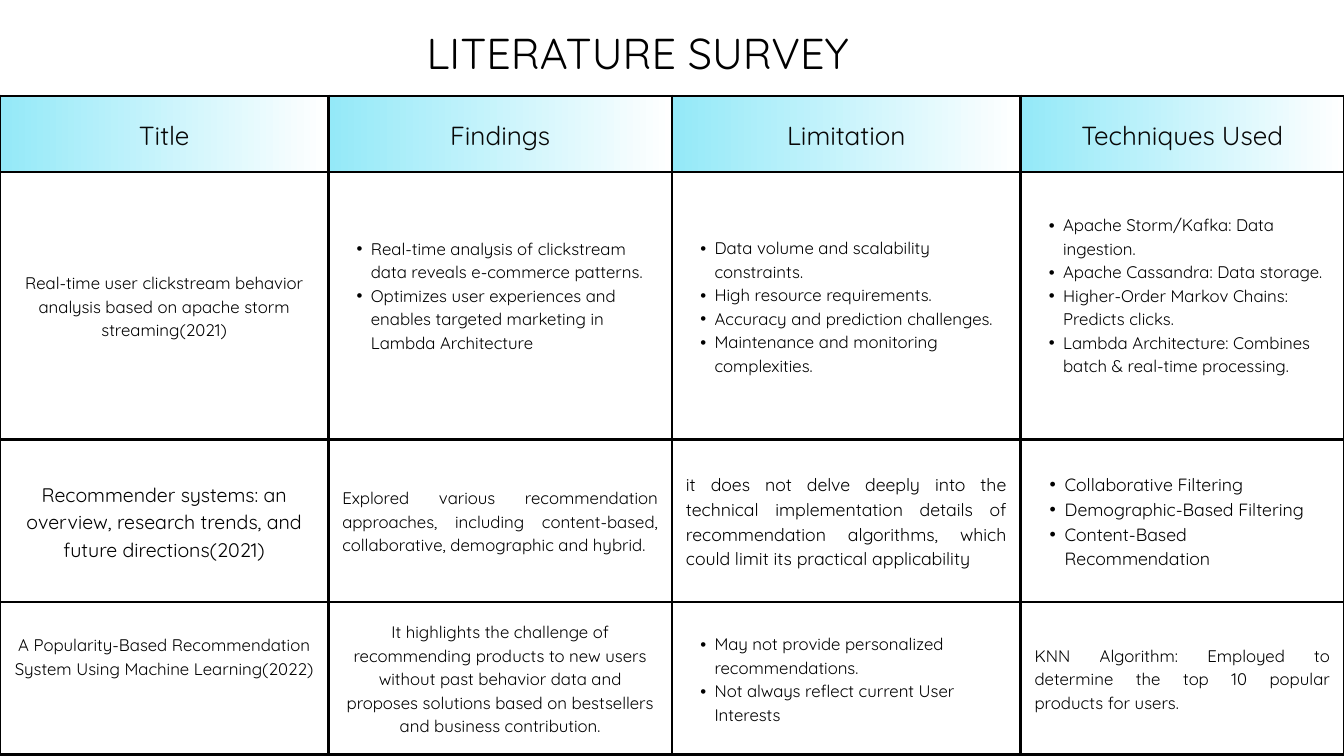
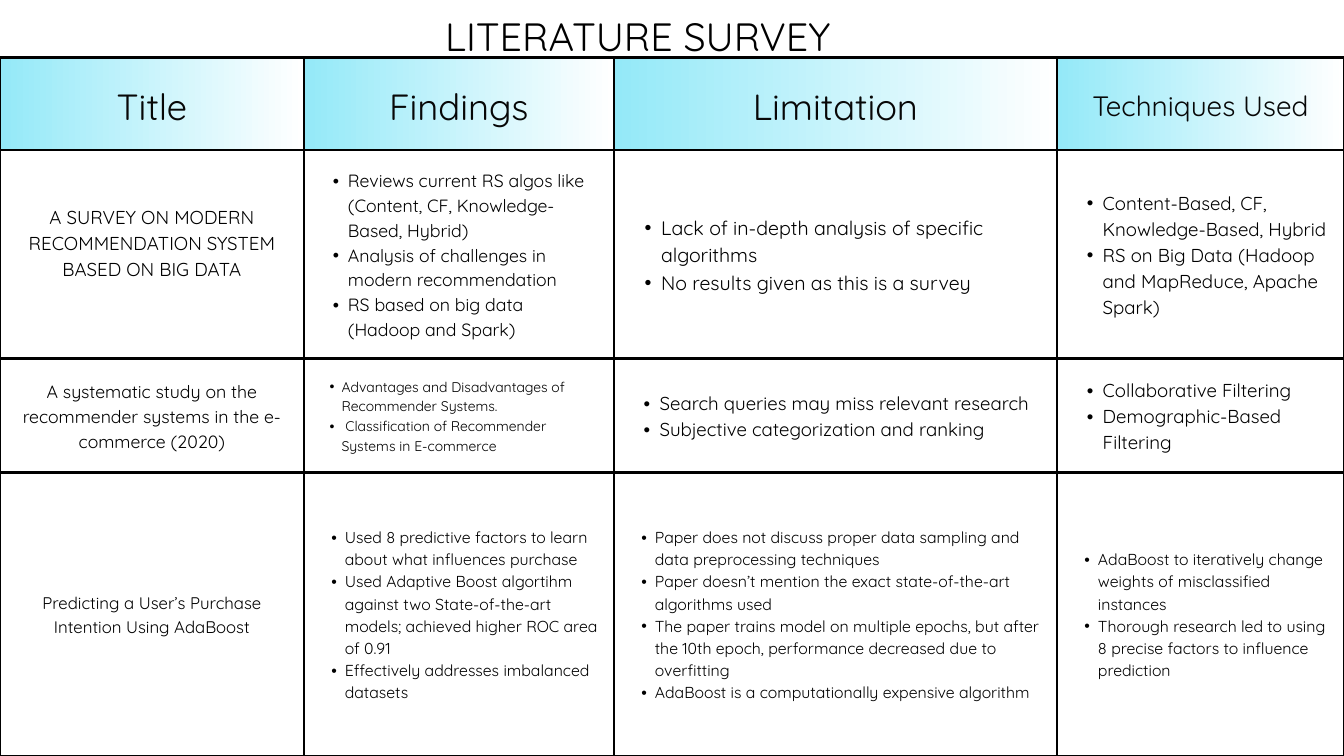
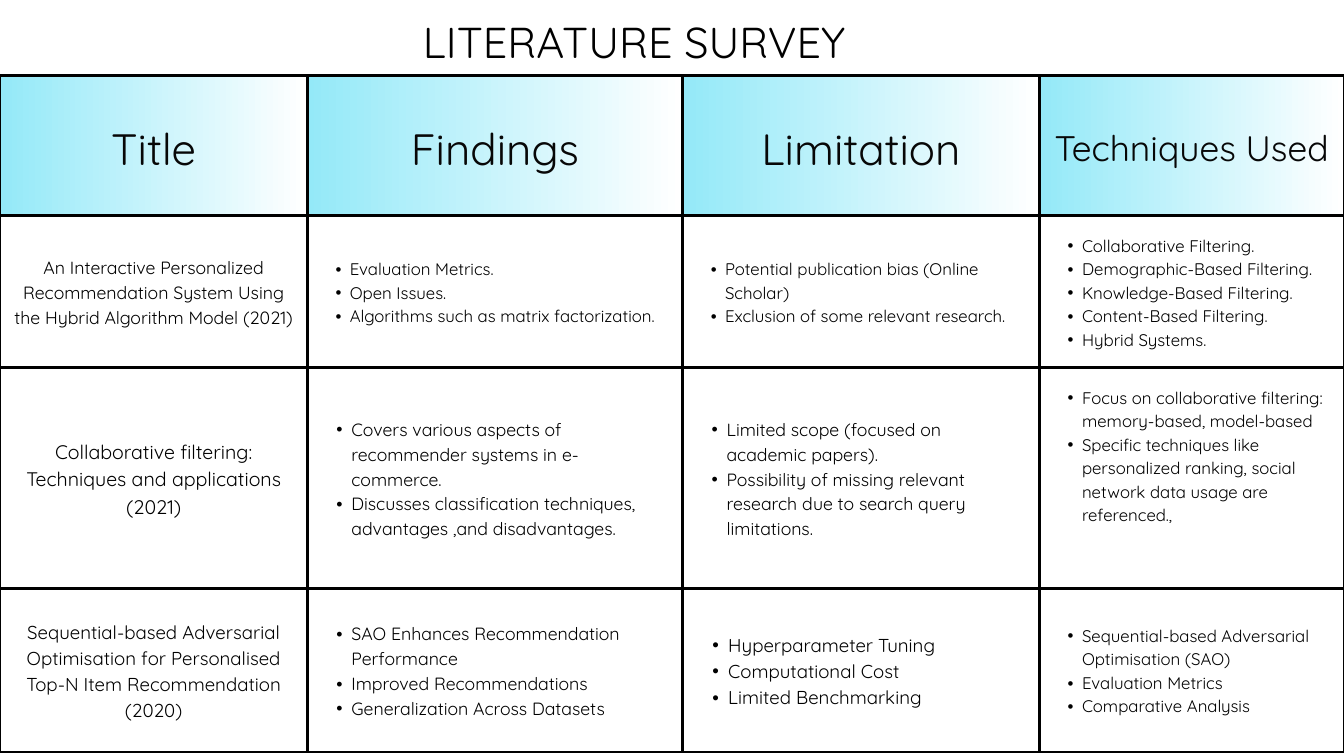
from typing import NamedTuple

from lxml import etree
from pptx import Presentation
from pptx.dml.color import RGBColor
from pptx.enum.text import MSO_ANCHOR, MSO_AUTO_SIZE, PP_ALIGN
from pptx.oxml.ns import qn
from pptx.util import Emu, Pt

LEFT, CENTER, JUSTIFY = PP_ALIGN.LEFT, PP_ALIGN.CENTER, PP_ALIGN.JUSTIFY
TOP, MIDDLE = MSO_ANCHOR.TOP, MSO_ANCHOR.MIDDLE
NO_AUTOFIT = MSO_AUTO_SIZE.NONE

EMU_PER_PX = 9525
SLIDE_WIDTH, SLIDE_HEIGHT = 1920, 1080
TITLE_ONLY_LAYOUT = 5
CELL_MARGIN = 20
BORDER_POINTS = 3
LINE_RATIO = 1.4
INDENT_RATIO = 1.7
FONT = "Quicksand"
BLACK = "000000"
HEADER_TEXT = "070707"
HEADER_GRADIENT = ("94E9F8", "FFFFFF")
HEADINGS = ("Title", "Findings", "Limitation", "Techniques Used")
SLIDE_TITLE = "LITERATURE SURVEY"


class CellText(NamedTuple):
    size: int
    lines: tuple
    alignment: int
    bullets: bool = False
    lift: int = 0


class Survey(NamedTuple):
    title_box: tuple
    title_size: float
    table_top: int
    columns: tuple
    row_heights: tuple
    heading_sizes: tuple
    papers: tuple


def centered(size, text, lift=0):
    return CellText(size, (text,), CENTER, lift=lift)


def justified(size, text):
    return CellText(size, (text,), JUSTIFY)


def bulleted(size, *lines, lift=0):
    return CellText(size, lines, LEFT, True, lift)


SURVEYS = (
    Survey(
        (479, 25, 864, 83), 46.3, 137,
        (469, 491, 498, 462), (109, 382, 232, 218), (28, 28, 28, 28),
        (
            (
                centered(18, "Real-time user clickstream behavior analysis based on "
                             "apache storm streaming(2021)"),
                bulleted(18, "Real-time analysis of clickstream data reveals "
                             "e-commerce patterns.",
                         "Optimizes user experiences and enables targeted marketing "
                         "in Lambda Architecture", lift=32),
                bulleted(18, "Data volume and scalability constraints.",
                         "High resource requirements.",
                         "Accuracy and prediction challenges.",
                         "Maintenance and monitoring complexities."),
                bulleted(18, "Apache Storm/Kafka: Data ingestion.",
                         "Apache Cassandra: Data storage.",
                         "Higher-Order Markov Chains: Predicts clicks.",
                         "Lambda Architecture: Combines batch & real-time processing.",
                         lift=32),
            ),
            (
                centered(21, "Recommender systems: an overview, research trends, and "
                             "future directions(2021)"),
                justified(18, "Explored various recommendation approaches, including "
                              "content-based, collaborative, demographic and hybrid."),
                justified(19, "it does not delve deeply into the technical "
                              "implementation details of recommendation algorithms, "
                              "which could limit its practical applicability"),
                bulleted(19, "Collaborative Filtering", "Demographic-Based Filtering",
                         "Content-Based Recommendation"),
            ),
            (
                centered(18, "A Popularity-Based Recommendation System Using Machine "
                             "Learning(2022)", lift=64),
                centered(18, "It highlights the challenge of recommending products to "
                             "new users without past behavior data and proposes "
                             "solutions based on bestsellers and business contribution."),
                bulleted(18, "May not provide personalized recommendations.",
                         "Not always reflect current User Interests"),
                justified(18, "KNN Algorithm: Employed to determine the top 10 popular "
                              "products for users."),
            ),
        ),
    ),
    Survey(
        (479, 6, 864, 76), 42.3, 82,
        (434, 443, 633, 410), (132, 298, 163, 405), (39, 39, 39, 30),
        (
            (
                centered(20, "A SURVEY ON MODERN RECOMMENDATION SYSTEM BASED ON BIG DATA",
                         lift=34),
                bulleted(19, "Reviews current RS algos like (Content, CF, "
                             "Knowledge-Based, Hybrid)",
                         "Analysis of challenges in modern recommendation",
                         "RS based on big data (Hadoop and Spark)"),
                bulleted(21, "Lack of in-depth analysis of specific algorithms",
                         "No results given as this is a survey"),
                bulleted(20, "Content-Based, CF, Knowledge-Based, Hybrid",
                         "RS on Big Data (Hadoop and MapReduce, Apache Spark)"),
            ),
            (
                centered(19, "A systematic study on the recommender systems in the "
                             "e-commerce (2020)"),
                bulleted(15, "Advantages and Disadvantages of Recommender Systems.",
                         " Classification of Recommender Systems in E-commerce"),
                bulleted(20, "Search queries may miss relevant research",
                         "Subjective categorization and ranking"),
                bulleted(20, "Collaborative Filtering", "Demographic-Based Filtering"),
            ),
            (
                centered(18, "Predicting a User’s Purchase Intention Using AdaBoost"),
                bulleted(17, "Used 8 predictive factors to learn about what influences "
                             "purchase",
                         "Used Adaptive Boost algortihm against two State-of-the-art "
                         "models; achieved higher ROC area of 0.91",
                         "Effectively addresses imbalanced datasets"),
                bulleted(17, "Paper does not discuss proper data sampling and data "
                             "preprocessing techniques",
                         "Paper doesn’t mention the exact state-of-the-art algorithms "
                         "used",
                         "The paper trains model on multiple epochs, but after the 10th "
                         "epoch, performance decreased due to overfitting",
                         "AdaBoost is a computationally expensive algorithm"),
                bulleted(17, "AdaBoost to iteratively change weights of misclassified "
                             "instances",
                         "Thorough research led to using 8 precise factors to influence "
                         "prediction"),
            ),
        ),
    ),
    Survey(
        (474, 9, 864, 83), 46.3, 108,
        (439, 536, 510, 435), (200, 217, 316, 233), (47, 47, 47, 38),
        (
            (
                centered(19, "An Interactive Personalized Recommendation System Using "
                             "the Hybrid Algorithm Model (2021)"),
                bulleted(18, "Evaluation Metrics.", "Open Issues.",
                         "Algorithms such as matrix factorization."),
                bulleted(18, "Potential publication bias (Online Scholar)",
                         "Exclusion of some relevant research."),
                bulleted(18, "Collaborative Filtering.", "Demographic-Based Filtering.",
                         "Knowledge-Based Filtering.", "Content-Based Filtering.",
                         "Hybrid Systems."),
            ),
            (
                centered(21, "Collaborative filtering: Techniques and applications (2021)"),
                bulleted(19, "Covers various aspects of recommender systems in "
                             "e-commerce.",
                         "Discusses classification techniques, advantages ,and "
                         "disadvantages."),
                bulleted(19, "Limited scope (focused on academic papers).",
                         "Possibility of missing relevant research due to search query "
                         "limitations."),
                bulleted(18, "Focus on collaborative filtering: memory-based, model-based",
                         "Specific techniques like personalized ranking, social network "
                         "data usage are referenced.,", lift=64),
            ),
            (
                centered(20, "Sequential-based Adversarial Optimisation for "
                             "Personalised Top-N Item Recommendation (2020)"),
                bulleted(19, "SAO Enhances Recommendation Performance",
                         "Improved Recommendations", "Generalization Across Datasets"),
                bulleted(20, "Hyperparameter Tuning", "Computational Cost",
                         "Limited Benchmarking"),
                bulleted(18, "Sequential-based Adversarial Optimisation (SAO)",
                         "Evaluation Metrics", "Comparative Analysis"),
            ),
        ),
    ),
)


def px(length):
    return Emu(length * EMU_PER_PX)


def color(hex_string):
    return RGBColor.from_string(hex_string)


def format_paragraph(paragraph, size, alignment, text_color):
    paragraph.alignment = alignment
    paragraph.line_spacing = Pt(size * LINE_RATIO)
    for run in paragraph.runs:
        run.font.name = FONT
        run.font.size = Pt(size)
        run.font.color.rgb = color(text_color)


def add_bullet(paragraph, size):
    properties = paragraph._p.get_or_add_pPr()
    indent = Pt(size * INDENT_RATIO)
    properties.set("marL", str(indent))
    properties.set("indent", str(-indent // 2))
    etree.SubElement(properties, qn("a:buFont")).set("typeface", "Arial")
    etree.SubElement(properties, qn("a:buChar")).set("char", "•")


def add_borders(cell):
    properties = cell._tc.get_or_add_tcPr()
    for position, side in enumerate(("a:lnL", "a:lnR", "a:lnT", "a:lnB")):
        line = etree.Element(qn(side), w=str(Pt(BORDER_POINTS)))
        fill = etree.SubElement(line, qn("a:solidFill"))
        etree.SubElement(fill, qn("a:srgbClr")).set("val", BLACK)
        properties.insert(position, line)


def fill_header(cell):
    cell.fill.gradient()
    cell.fill.gradient_angle = 0
    for stop, hex_string in zip(cell.fill.gradient_stops, HEADER_GRADIENT):
        stop.color.rgb = color(hex_string)


def write_cell(cell, content, text_color):
    cell.margin_left = cell.margin_right = cell.margin_top = px(CELL_MARGIN)
    cell.margin_bottom = px(CELL_MARGIN + content.lift)
    cell.vertical_anchor = MIDDLE
    cell.text_frame.text = "\n".join(content.lines)
    for paragraph in cell.text_frame.paragraphs:
        if content.bullets:
            add_bullet(paragraph, content.size)
        format_paragraph(paragraph, content.size, content.alignment, text_color)


def add_survey_table(slide, survey):
    headings = tuple(map(centered, survey.heading_sizes, HEADINGS))
    rows = (headings,) + survey.papers
    frame = slide.shapes.add_table(
        len(rows), len(HEADINGS), 0, px(survey.table_top),
        px(sum(survey.columns)), px(sum(survey.row_heights)))
    table = frame.table
    table.first_row = table.horz_banding = False
    for column, width in zip(table.columns, survey.columns):
        column.width = px(width)
    for row, height, contents in zip(table.rows, survey.row_heights, rows):
        row.height = px(height)
        is_header = contents is headings
        for cell, content in zip(row.cells, contents):
            write_cell(cell, content, HEADER_TEXT if is_header else BLACK)
            if is_header:
                fill_header(cell)
            else:
                cell.fill.background()
            add_borders(cell)


def set_title(slide, box, size):
    title = slide.shapes.title
    title.left, title.top, title.width, title.height = map(px, box)
    text_frame = title.text_frame
    text_frame.text = SLIDE_TITLE
    text_frame.auto_size = NO_AUTOFIT
    text_frame.vertical_anchor = TOP
    text_frame.margin_left = text_frame.margin_right = 0
    text_frame.margin_top = text_frame.margin_bottom = 0
    format_paragraph(text_frame.paragraphs[0], size, CENTER, BLACK)


def main():
    presentation = Presentation()
    presentation.slide_width = px(SLIDE_WIDTH)
    presentation.slide_height = px(SLIDE_HEIGHT)
    layout = presentation.slide_layouts[TITLE_ONLY_LAYOUT]
    for survey in SURVEYS:
        slide = presentation.slides.add_slide(layout)
        set_title(slide, survey.title_box, survey.title_size)
        add_survey_table(slide, survey)
    presentation.save("out.pptx")


if __name__ == "__main__":
    main()
